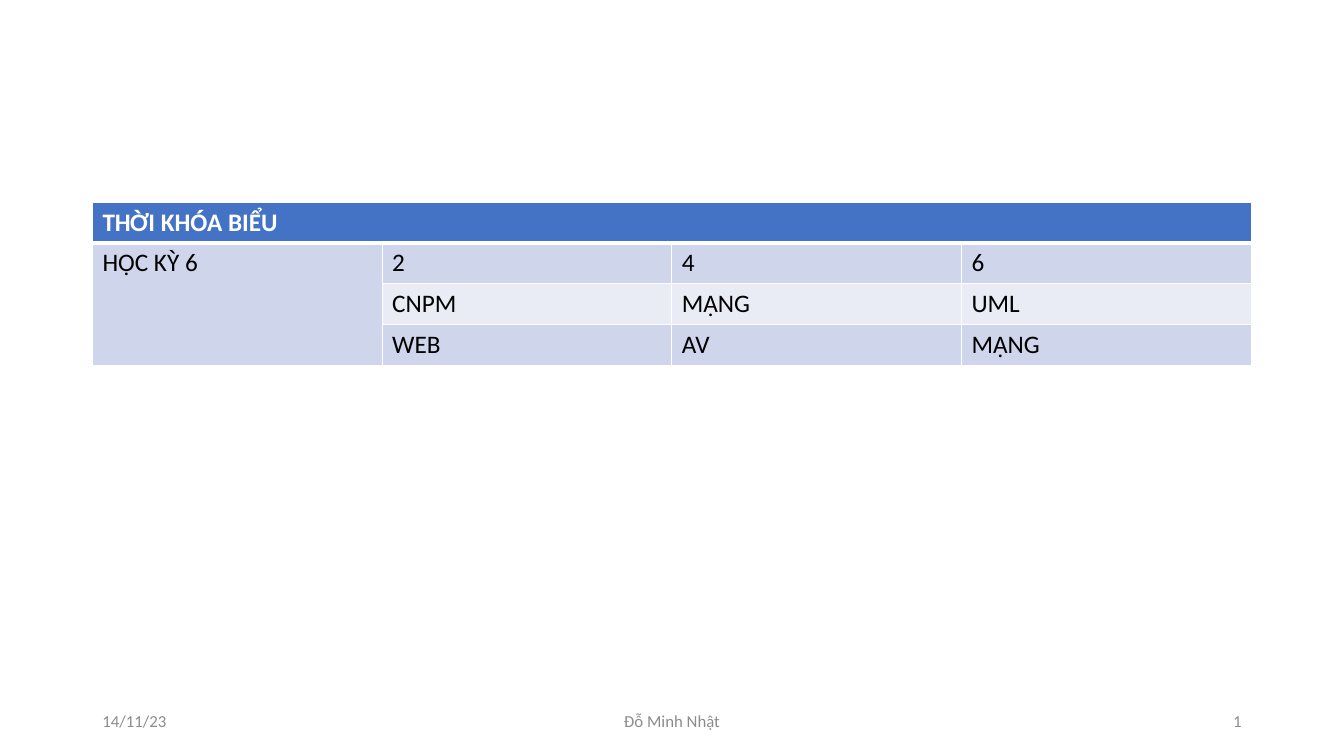
from lxml.etree import SubElement
from pptx import Presentation
from pptx.dml.color import RGBColor
from pptx.enum.text import MSO_ANCHOR, PP_ALIGN
from pptx.oxml.ns import qn
from pptx.util import Cm, Pt

WHITE = RGBColor(0xFF, 0xFF, 0xFF)
BLACK = RGBColor(0, 0, 0)
GRAY = RGBColor(0x8C, 0x8C, 0x8C)
BLUE = RGBColor(0x44, 0x72, 0xC4)
BAND_DARK = RGBColor(0xCF, 0xD5, 0xEA)
BAND_LIGHT = RGBColor(0xE9, 0xEB, 0xF5)

TIMETABLE = [
    ["THỜI KHÓA BIỂU", "", "", ""],
    ["HỌC KỲ 6", "2", "4", "6"],
    ["", "CNPM", "MẠNG", "UML"],
    ["", "WEB", "AV", "MẠNG"],
]
MERGES = [((0, 0), (0, 3)), ((1, 0), (3, 0))]
FOOTER = [
    ("14/11/23", 2.33, 7.62, PP_ALIGN.LEFT),
    ("Đỗ Minh Nhật", 11.22, 11.43, PP_ALIGN.CENTER),
    ("1", 23.92, 7.62, PP_ALIGN.RIGHT),
]


def write(tf, text, size=18, color=BLACK, bold=False, align=PP_ALIGN.LEFT, font="Calibri"):
    p = tf.paragraphs[0]
    p.alignment = align
    r = p.add_run()
    r.text = text
    r.font.name = font
    r.font.size = Pt(size)
    r.font.bold = bold
    r.font.color.rgb = color


def add_border(cell, side, width, color):
    tc_pr = cell._tc.get_or_add_tcPr()
    ln = SubElement(tc_pr, qn(f"a:ln{side}"), w=str(Pt(width)))
    fill = SubElement(ln, qn("a:solidFill"))
    SubElement(fill, qn("a:srgbClr"), val=str(color))


class SlideBuilder:
    """Adds styled elements to one slide."""

    def __init__(self, slide):
        self.s = slide
        self.footer_style = {"size": 12, "color": GRAY}

    def text(self, text, x, y, w, h, align):
        tf = self.s.shapes.add_textbox(Cm(x), Cm(y), Cm(w), Cm(h)).text_frame
        tf.word_wrap = True
        tf.vertical_anchor = MSO_ANCHOR.MIDDLE
        write(tf, text, align=align, **self.footer_style)

    def table(self, rows, merges, x, y, col_w, row_h):
        n_rows, n_cols = len(rows), len(rows[0])
        frame = self.s.shapes.add_table(
            n_rows, n_cols, Cm(x), Cm(y), Cm(col_w * n_cols), Cm(row_h * n_rows))
        table = frame.table
        for col in table.columns:
            col.width = Cm(col_w)
        for i, values in enumerate(rows):
            table.rows[i].height = Cm(row_h)
            for j, value in enumerate(values):
                self.cell(table.cell(i, j), value, i)
        for first, last in merges:
            table.cell(*first).merge(table.cell(*last))

    def cell(self, cell, value, row):
        header = row == 0
        widths = {"L": 1, "R": 1, "T": 3 if row == 1 else 1, "B": 3 if header else 1}
        for side, width in widths.items():
            add_border(cell, side, width, WHITE)
        cell.fill.solid()
        cell.fill.fore_color.rgb = BLUE if header else BAND_DARK if row % 2 else BAND_LIGHT
        if value:
            write(cell.text_frame, value, color=WHITE if header else BLACK, bold=header)


def main():
    prs = Presentation()
    prs.slide_width, prs.slide_height = Cm(33.87), Cm(19.05)
    sb = SlideBuilder(prs.slides.add_slide(prs.slide_layouts[6]))
    sb.table(TIMETABLE, MERGES, x=2.33, y=5.09, col_w=7.3, row_h=1.03)
    for text, x, w, align in FOOTER:
        sb.text(text, x, 17.66, w, 1.01, align)
    prs.save("out.pptx")


if __name__ == "__main__":
    main()
